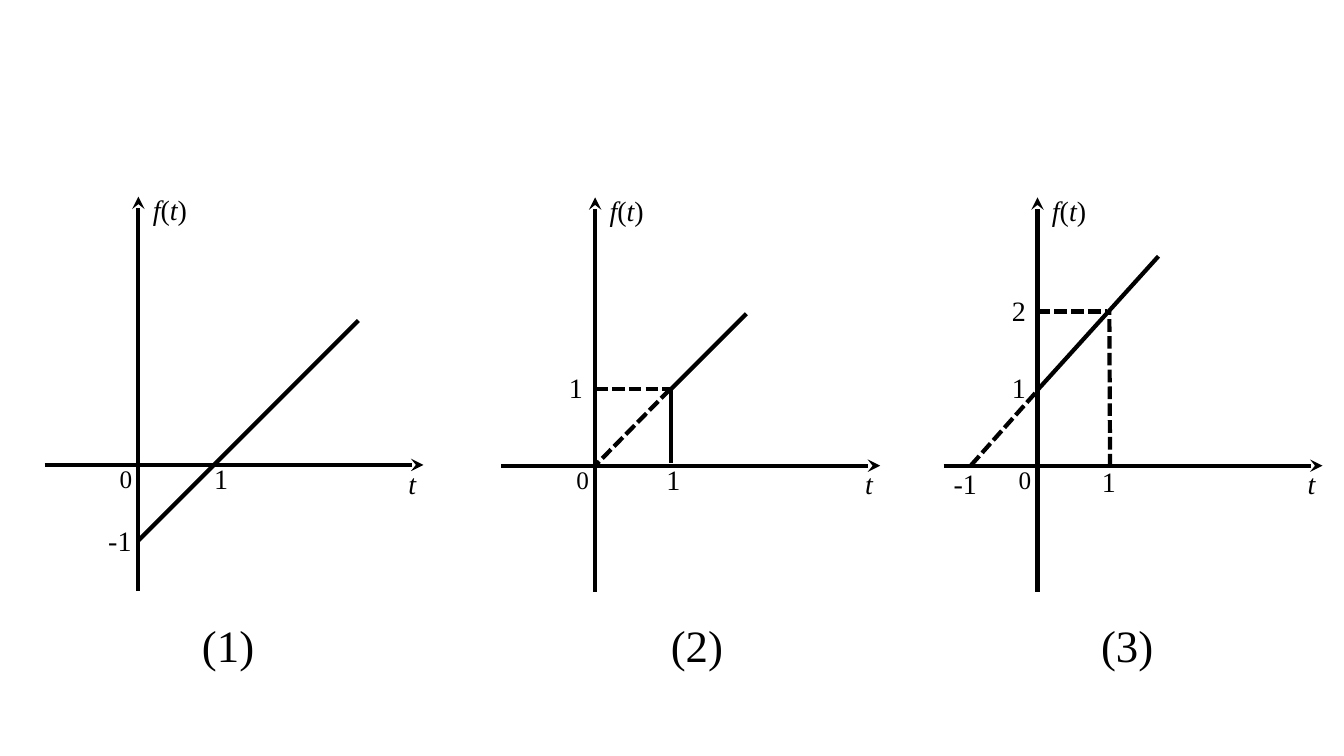
from dataclasses import dataclass
from itertools import groupby

from lxml import etree
from pptx import Presentation, util as u
from pptx.dml.color import RGBColor
from pptx.enum import dml, shapes, text
from pptx.oxml.ns import qn
from pptx.shapes.shapetree import GroupShapes

BLACK = RGBColor(0x00, 0x00, 0x00)
FONT = "Times New Roman"
WIDE, HIGH = u.Inches(13.33), u.Inches(7.5)
CELL = HIGH / 10  # one grid cell, close to one unit on the axes


@dataclass
class Line:
    x1: float
    y1: float
    x2: float
    y2: float
    dash: bool = False
    arrow: bool = False


@dataclass
class Label:
    words: str
    x: float
    y: float
    width: float = 0.41
    size: int = 20


@dataclass
class Graph:
    col: float
    row: float
    lines: list[Line]
    labels: list[Label]


AXES = [Line(-1.24, 0, 3.77, 0, arrow=True), Line(0, -1.67, 0, 3.55, arrow=True)]
NAMES = [
    Label("0", -0.38, 0.08, 0.37, 18),
    Label("t", 3.44, 0.05),
    Label("f(t)", 0.06, 3.67, 0.74),
]
GRAPHS = [
    Graph(
        1.83, 6.15,
        [Line(0, -1, 2.91, 1.91)],
        [Label("1", 0.87, 0.11, 0.5), Label("-1", -0.53, -0.71, 0.85),
         Label("(1)", 0.71, -1.96, 1.12, 32)],
    ),
    Graph(
        7.87, 6.16,
        [Line(0, 1.01, 0.99, 1.01, dash=True), Line(1, 0.04, 1, 1.01),
         Line(0.99, 1.01, 0, 0, dash=True), Line(1, 1.01, 2, 2.01)],
        [Label("1", 0.81, 0.11, 0.5), Label("1", -0.48, 1.32),
         Label("(2)", 0.87, -1.95, 1.12, 32)],
    ),
    Graph(
        13.72, 6.16,
        [Line(-0.03, 0.96, -0.91, -0.03, dash=True), Line(0, 1, 1.6, 2.77),
         Line(0, 2.04, 0.92, 2.04, dash=True),
         Line(0.96, -0.01, 0.95, 2.04, dash=True)],
        [Label("1", 0.72, 0.08, 0.5), Label("1", -0.47, 1.33),
         Label("2", -0.47, 2.35), Label("-1", -1.24, 0.05, 0.6),
         Label("(3)", 0.71, -1.95, 1.12, 32)],
    ),
]


def place(graph: Graph, x: float, y: float) -> tuple[int, int]:
    """Turn axis units, with y upwards, into a point on the slide."""
    return round((graph.col + x) * CELL), round((graph.row - y) * CELL)


def draw_line(tree: GroupShapes, graph: Graph, line: Line) -> None:
    link = tree.add_connector(
        shapes.MSO_CONNECTOR.STRAIGHT,
        *place(graph, line.x1, line.y1),
        *place(graph, line.x2, line.y2),
    )
    link.line.color.rgb = BLACK
    link.line.width = u.Pt(3)
    if line.dash:
        link.line.dash_style = dml.MSO_LINE.SQUARE_DOT
    if line.arrow:
        stroke = link.line._get_or_add_ln()
        etree.SubElement(stroke, qn("a:tailEnd"), type="stealth")
    etree.SubElement(link._element.spPr, qn("a:effectLst"))


def draw_label(tree: GroupShapes, graph: Graph, label: Label) -> None:
    """Write a label with its letters in italics."""
    high = u.Pt(label.size * 1.2) + u.Inches(0.1)
    box = tree.add_textbox(
        *place(graph, label.x, label.y), round(label.width * CELL), high
    )
    frame = box.text_frame
    frame.word_wrap = True
    frame.auto_size = text.MSO_AUTO_SIZE.SHAPE_TO_FIT_TEXT
    for slant, part in groupby(label.words, str.isalpha):
        run = frame.paragraphs[0].add_run()
        run.text = "".join(part)
        run.font.name = FONT
        run.font.size = u.Pt(label.size)
        run.font.italic = slant
        run.font.color.rgb = BLACK


def main() -> None:
    deck = Presentation()
    deck.slide_width, deck.slide_height = WIDE, HIGH
    slide = deck.slides.add_slide(deck.slide_layouts[6])
    for graph in GRAPHS:
        tree = slide.shapes.add_group_shape().shapes
        for line in AXES + graph.lines:
            draw_line(tree, graph, line)
        for label in NAMES + graph.labels:
            draw_label(tree, graph, label)
    deck.save("out.pptx")


if __name__ == "__main__":
    main()
